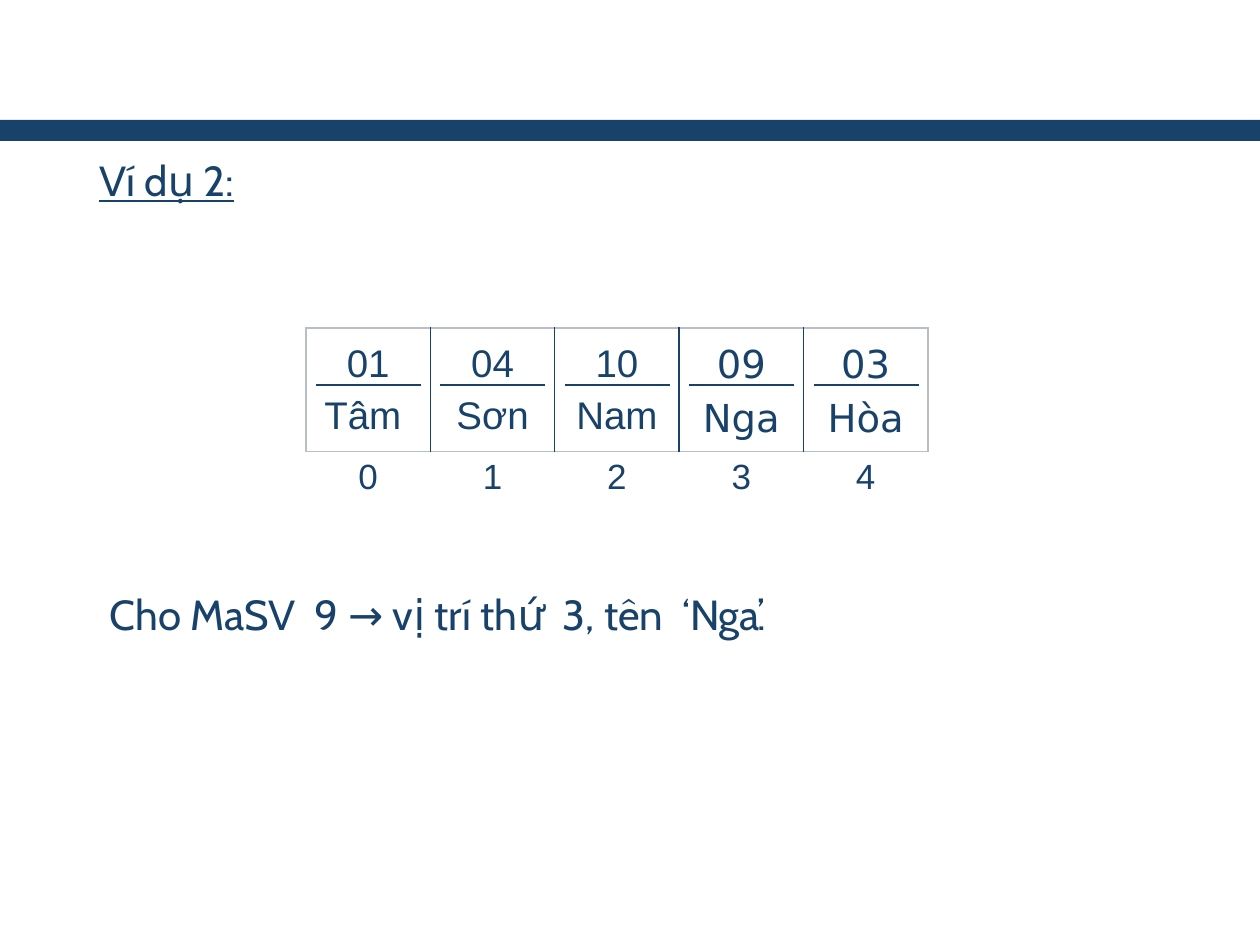
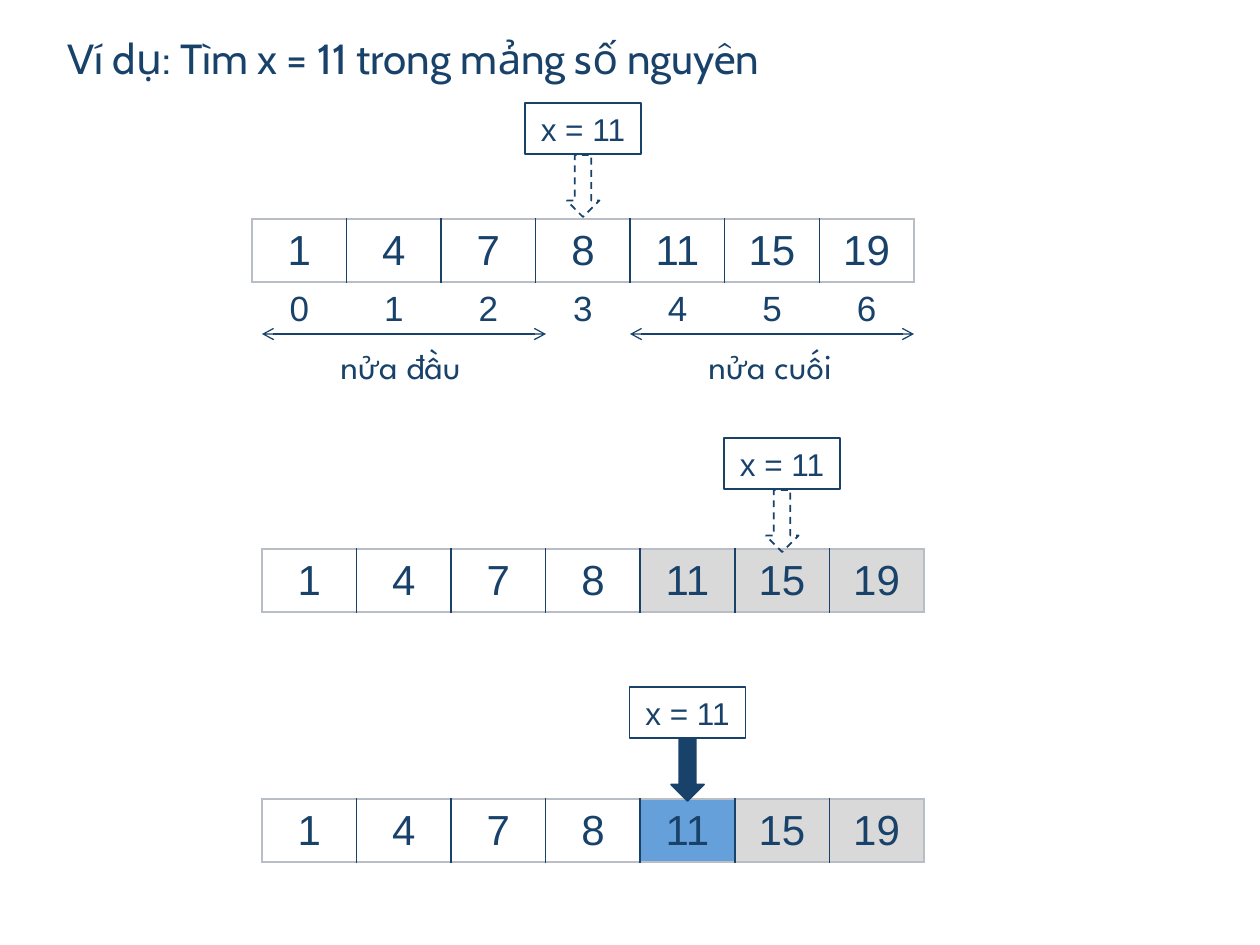
from dataclasses import dataclass

from lxml import etree
from pptx import Presentation
from pptx import util as u
from pptx.dml.color import RGBColor
from pptx.enum import dml, shapes, text
from pptx.oxml import ns

PX = 914400 / 126
PLAIN_STYLE = "{2D5ABB26-0587-4C30-8999-92F81FD0307C}"


@dataclass(frozen=True)
class Theme:
    navy: str = "19426B"
    edge: str = "B9BDC6"
    white: str = "FFFFFF"
    excluded: str = "D9D9D9"
    found: str = "66A0DB"
    body_font: str = "Cabin"
    label_font: str = "League Spartan"
    data_font: str = "Arial"
    wide_font: str = "DejaVu Sans"
    heading: int = 24
    record: int = 22
    index: int = 20
    tag: int = 18
    rule: float = 0.75
    border: float = 1


THEME = Theme()


def px(count):
    return u.Emu(round(count * PX))


def box_px(*lengths):
    return [px(length) for length in lengths]


def set_values(target, values):
    for name, value in values.items():
        setattr(target, name, value)


def write(para, words, size, font, underline=None):
    span = para.add_run()
    span.text = words
    set_values(span.font, {"size": u.Pt(size), "name": font, "underline": underline})
    span.font.color.rgb = RGBColor.from_string(THEME.navy)


def paint(fill, colour):
    if colour:
        fill.solid()
        fill.fore_color.rgb = RGBColor.from_string(colour)
    else:
        fill.background()


def outline(line, width):
    paint(line.fill, THEME.navy)
    line.width = u.Pt(width)


def add_preset(page, kind, box, fill=None):
    shape = page.shapes.add_shape(kind, *box_px(*box))
    shape.shadow.inherit = False
    paint(shape.fill, fill)
    shape.line.fill.background()
    return shape


def add_statement(page, box, words, size=THEME.heading, font=THEME.body_font,
                  spacing=1.1, underline=None):
    """Add one line of text with the hanging indent of the deck's body style."""
    frame = page.shapes.add_textbox(*box_px(*box)).text_frame
    frame.word_wrap = True
    para = frame.paragraphs[0]
    set_values(para, {"level": 1, "line_spacing": spacing})
    indents = para._p.get_or_add_pPr()
    indents.set("marL", str(px(126)))
    indents.set("indent", str(px(-71)))
    write(para, words, size, font, underline)


def add_rule(page, left, top, width, arrows=False):
    rule = page.shapes.add_connector(
        shapes.MSO_CONNECTOR.STRAIGHT, *box_px(left, top, left + width, top))
    outline(rule.line, THEME.rule)
    if arrows:
        for end in ("a:headEnd", "a:tailEnd"):
            etree.SubElement(rule.get_or_add_ln(), ns.qn(end), type="arrow")
    etree.SubElement(rule.element.spPr, ns.qn("a:effectLst"))


def border_cell(cell, first, last):
    """Draw navy dividers between cells and a pale edge around the row."""
    props = cell._tc.get_or_add_tcPr()
    colours = {"L": THEME.edge if first else THEME.navy,
               "R": THEME.edge if last else THEME.navy,
               "T": THEME.edge, "B": THEME.edge}
    for side, colour in colours.items():
        line = etree.SubElement(props, ns.qn(f"a:ln{side}"), w=str(u.Pt(THEME.border)))
        fill = etree.SubElement(line, ns.qn("a:solidFill"))
        etree.SubElement(fill, ns.qn("a:srgbClr"), val=colour)


def add_row(page, box, entries, size, fonts=None, fills=None, bordered=True,
            anchor=text.MSO_ANCHOR.MIDDLE, spacing=None):
    """Add a one-row table; each entry is the list of lines in its cell."""
    frame = page.shapes.add_table(1, len(entries), *box_px(*box))
    table = frame.table
    set_values(table, {"first_row": False, "horz_banding": False})
    next(frame.element.iter(ns.qn("a:tableStyleId"))).text = PLAIN_STYLE
    for i, lines in enumerate(entries):
        table.columns[i].width = px(box[2] / len(entries))
        cell = table.cell(0, i)
        cell.vertical_anchor = anchor
        if bordered:
            border_cell(cell, i == 0, i == len(entries) - 1)
        paint(cell.fill, (fills or {}).get(i))
        for n, words in enumerate(lines):
            frame = cell.text_frame
            para = frame.add_paragraph() if n else frame.paragraphs[0]
            set_values(para, {"alignment": text.PP_ALIGN.CENTER,
                              "line_spacing": spacing})
            write(para, words, size, (fonts or {}).get(i, THEME.data_font))


def add_indexes(page, left, top, width, count):
    add_row(page, (left, top, width, 54), [[str(i)] for i in range(count)],
            THEME.index, bordered=False, anchor=text.MSO_ANCHOR.TOP)


def add_pointer(page, centre, top, hit):
    """Add the tag with the wanted value and the arrow to the tested cell."""
    tag = add_preset(page, shapes.MSO_SHAPE.RECTANGLE, (centre - 58, top, 116, 51))
    outline(tag.line, THEME.rule)
    set_values(tag.text_frame, {"word_wrap": False,
                                "vertical_anchor": text.MSO_ANCHOR.MIDDLE})
    para = tag.text_frame.paragraphs[0]
    para.alignment = text.PP_ALIGN.CENTER
    write(para, "x = 11", THEME.tag, THEME.data_font)
    arrow = add_preset(page, shapes.MSO_SHAPE.DOWN_ARROW,
                       (centre - 16.5, top + 52, 33, 62), THEME.navy if hit else None)
    outline(arrow.line, THEME.border)
    if not hit:
        arrow.line.dash_style = dml.MSO_LINE.DASH


def add_search_step(page, box, tested, lift, fills=None, hit=False):
    """Add the number array and, lift px above it, the pointer to one cell."""
    left, top, width, _ = box
    numbers = (1, 4, 7, 8, 11, 15, 19)
    add_row(page, box, [[str(number)] for number in numbers], THEME.heading, fills=fills)
    add_pointer(page, left + (tested + 0.5) * width / len(numbers), top - lift, hit)


def add_half(page, left, top, words):
    add_rule(page, left, top, 284, arrows=True)
    add_statement(page, (left + 11, top, 273, 53), words, THEME.index, THEME.label_font)


def add_records(page, left, top, width):
    """Add the student records, a rule inside each, and their positions."""
    records = [["01", "Tâm "], ["04", "Sơn"], ["10", "Nam"], ["09", "Nga"], ["03", "Hòa"]]
    add_row(page, (left, top, width, 117), records, THEME.record,
            fonts={3: THEME.wide_font, 4: THEME.wide_font},
            anchor=text.MSO_ANCHOR.TOP, spacing=1.2)
    add_indexes(page, left, top + 123, width, len(records))
    for i in range(len(records)):
        add_rule(page, left + 10 + i * width / len(records), top + 57, 105)


def build_records_page(page):
    add_preset(page, shapes.MSO_SHAPE.RECTANGLE, (0, 120, 1260, 21), THEME.navy)
    add_statement(page, (32, 154, 1197, 77), "Ví dụ 2:", spacing=0.9, underline=True)
    add_records(page, 306, 328, 622)
    add_statement(page, (42, 577, 1176, 63), "Cho MaSV  9 → vị trí thứ  3, tên  ‘Nga’.")


def build_search_page(page):
    add_statement(page, (0, 21, 863, 73), "Ví dụ: Tìm x = 11 trong mảng số nguyên")
    add_search_step(page, (252, 219, 662, 63), tested=3, lift=116)
    add_indexes(page, 252, 283, 662, 7)
    add_half(page, 262, 334, "nửa đầu")
    add_half(page, 630, 334, "nửa cuối")
    last_half = dict.fromkeys((4, 5, 6), THEME.excluded)
    add_search_step(page, (262, 549, 662, 63), tested=5, lift=111, fills=last_half)
    add_search_step(page, (262, 799, 662, 63), tested=4, lift=112,
                    fills=last_half | {4: THEME.found}, hit=True)


def main():
    deck = Presentation()
    set_values(deck, {"slide_width": px(1260), "slide_height": px(945)})
    for build in (build_records_page, build_search_page):
        page = deck.slides.add_slide(deck.slide_layouts[6])
        paint(page.background.fill, THEME.white)
        build(page)
    deck.save("out.pptx")


if __name__ == "__main__":
    main()
